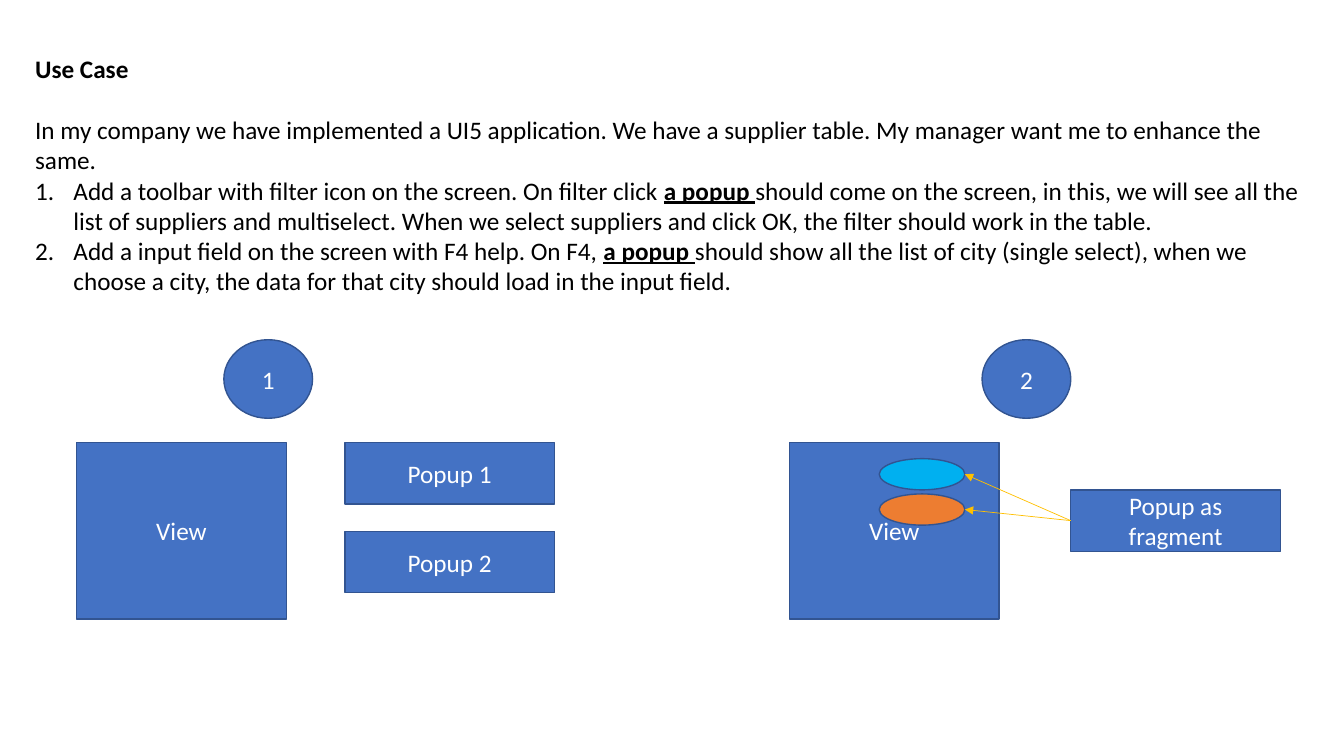
from lxml import etree
from pptx import Presentation
from pptx.dml.color import RGBColor
from pptx.enum.shapes import MSO_CONNECTOR, MSO_SHAPE
from pptx.enum.text import MSO_ANCHOR, PP_ALIGN
from pptx.oxml.ns import qn
from pptx.util import Inches, Pt

RECT, OVAL = MSO_SHAPE.RECTANGLE, MSO_SHAPE.OVAL
STRAIGHT = MSO_CONNECTOR.STRAIGHT
MIDDLE, CENTER = MSO_ANCHOR.MIDDLE, PP_ALIGN.CENTER
BLUE, OUTLINE, SKY, ORANGE, GOLD = "4472C4", "325491", "00B0F0", "ED7D31", "FFC000"
rgb = RGBColor.from_string


def write(paragraph, text, color="000000", bold=False, underline=False):
    run = paragraph.add_run()
    run.text = text
    font = run.font
    font.name, font.size = "Calibri", Pt(18)
    font.bold, font.underline = bold, underline
    font.color.rgb = rgb(color)


def draw(kind, left, top, width, height, label="", fill=BLUE):
    shape = slide.shapes.add_shape(
        kind, Inches(left), Inches(top), Inches(width), Inches(height))
    shape.shadow.inherit = False
    shape.fill.solid()
    shape.fill.fore_color.rgb = rgb(fill)
    shape.line.color.rgb = rgb(OUTLINE)
    shape.line.width = Pt(1)
    if label:
        shape.text_frame.vertical_anchor = MIDDLE
        paragraph = shape.text_frame.paragraphs[0]
        paragraph.alignment = CENTER
        write(paragraph, label, color="FFFFFF")
    return shape


prs = Presentation()
prs.slide_width, prs.slide_height = Inches(13.33), Inches(7.5)
slide = prs.slides.add_slide(prs.slide_layouts[6])

# Use case description
use_case = slide.shapes.add_textbox(
    Inches(0.25), Inches(0.48), Inches(12.79), Inches(2.52)).text_frame
use_case.word_wrap = True
heading = use_case.paragraphs[0]
heading.space_after = Pt(22)
write(heading, "Use Case", bold=True)
write(use_case.add_paragraph(),
      "In my company we have implemented a UI5 application. We have a supplier table. "
      "My manager want me to enhance the same.")

# Numbered requirements
requirements = [
    ("Add a toolbar with filter icon on the screen. On filter click ",
     "should come on the screen, in this, we will see all the list of suppliers and "
     "multiselect. When we select suppliers and click OK, the filter should work in the table."),
    ("Add a input field on the screen with F4 help. On F4, ",
     "should show all the list of city (single select), when we choose a city, "
     "the data for that city should load in the input field."),
]
for before, after in requirements:
    requirement = use_case.add_paragraph()
    props = requirement._p.get_or_add_pPr()
    props.set("marL", str(Inches(0.38)))
    props.set("indent", str(Inches(-0.38)))
    etree.SubElement(props, qn("a:buFont"), typeface="+mj-lt")
    etree.SubElement(props, qn("a:buAutoNum"), type="arabicPeriod")
    write(requirement, before)
    write(requirement, "a popup ", bold=True, underline=True)
    write(requirement, after)

# Option numbers and their views
for number, badge_left, view_left in (("1", 2.22, 0.76), ("2", 9.74, 7.83)):
    draw(OVAL, badge_left, 3.37, 0.88, 0.78, number)
    draw(RECT, view_left, 4.39, 2.08, 1.75, "View")

# Popups: separate in option 1, one shared fragment in option 2
for label, left, top in (("Popup 1", 3.42, 4.39), ("Popup 2", 3.42, 5.27)):
    draw(RECT, left, top, 2.08, 0.61, label)
fragment = draw(RECT, 10.62, 4.86, 2.08, 0.61, "Popup as fragment")

# Places in the view where the fragment is used
for top, fill in ((4.55, SKY), (4.9, ORANGE)):
    target = draw(OVAL, 8.72, top, 0.85, 0.31, fill=fill)
    arrow = slide.shapes.add_connector(
        STRAIGHT, fragment.left, fragment.top + fragment.height // 2,
        target.left + target.width, target.top + target.height // 2)
    arrow.line.color.rgb = rgb(GOLD)
    arrow.line.width = Pt(0.5)
    etree.SubElement(arrow.line._get_or_add_ln(), qn("a:tailEnd"), type="triangle")
    etree.SubElement(arrow._element.spPr, qn("a:effectLst"))

prs.save("out.pptx")
